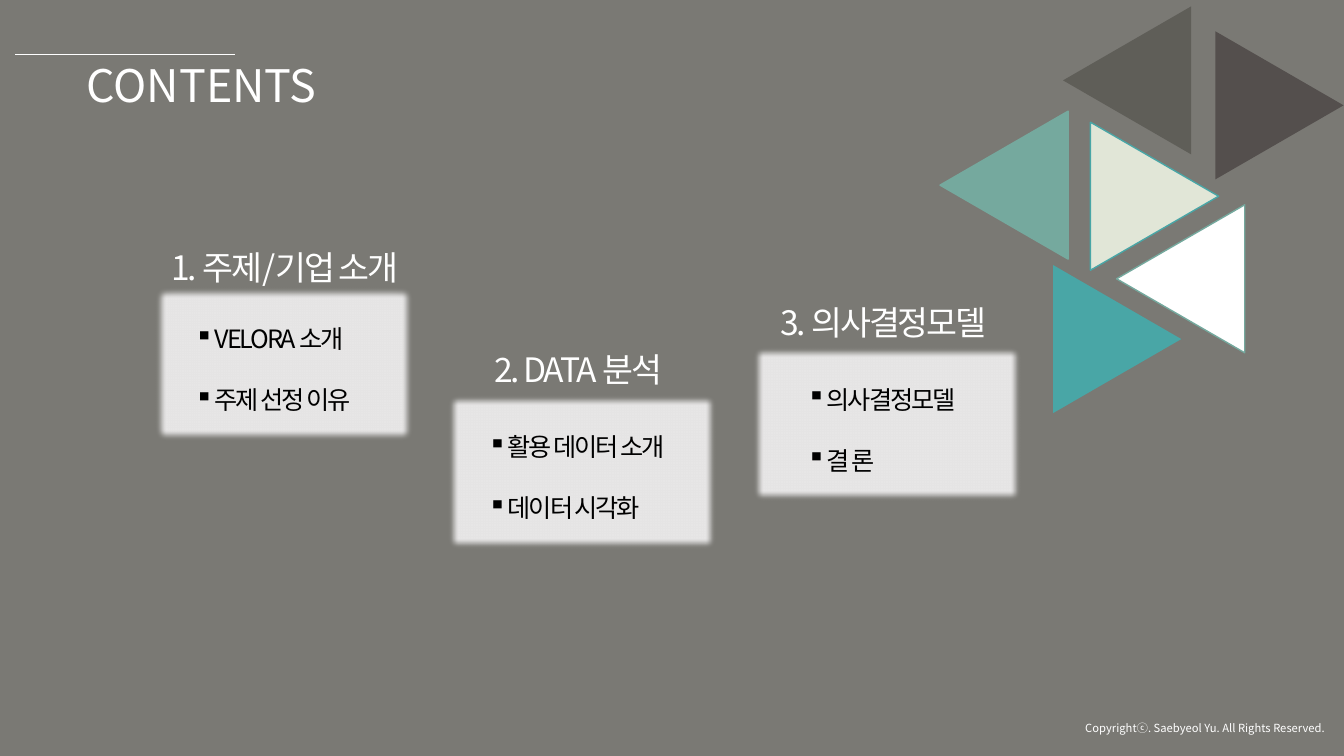
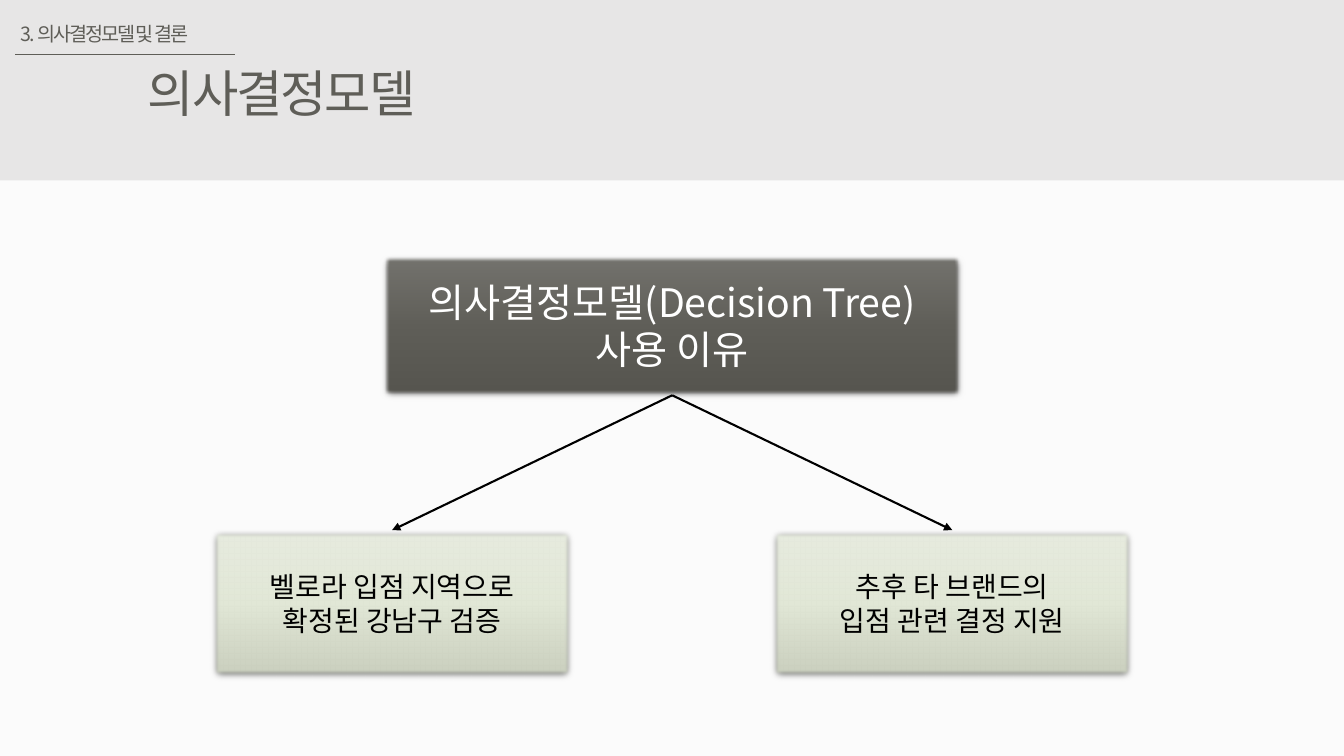
from dataclasses import dataclass

from lxml.etree import SubElement
from pptx import Presentation
from pptx.dml.color import RGBColor
from pptx.enum.shapes import MSO_CONNECTOR, MSO_SHAPE
from pptx.enum.text import MSO_ANCHOR, PP_ALIGN
from pptx.oxml.ns import qn
from pptx.util import Cm, Pt


@dataclass(frozen=True)
class Theme:
    font: str = "Noto Sans CJK KR"
    paper: str = "FBFBFB"
    light: str = "E7E6E6"
    stone: str = "5F5E58"
    umber: str = "544F4D"
    cream: str = "E1E6D7"
    teal: str = "49A6A6"
    sage: str = "75A99E"
    white: str = "FFFFFF"
    black: str = "000000"
    root_stops: tuple = ("74736E", "5F5E58", "55544E")
    branch_stops: tuple = ("E7EBDF", "E1E7D6", "C9CEBD")
    title: int = 36
    contents: int = 32
    root: int = 28
    heading: int = 24
    branch: int = 20
    item: int = 18
    section: int = 14
    footer: int = 8
    tight: int = -150


THEME = Theme()
SLIDE_W, SLIDE_H = Cm(33.87), Cm(19.05)


@dataclass(frozen=True)
class Box:
    left: int
    top: int
    width: int
    height: int

    @property
    def frame(self):
        return self.left, self.top, self.width, self.height


def box(left, top, width, height):
    return Box(Cm(left), Cm(top), Cm(width), Cm(height))


def rgb(value):
    return RGBColor.from_string(value)


def write(frame, lines, size, color, spacing=0, bullet=None, **paragraph_format):
    frame.word_wrap = True
    for index, line in enumerate(lines):
        paragraph = frame.paragraphs[0] if index == 0 else frame.add_paragraph()
        for name, value in paragraph_format.items():
            if index or name != "space_before":
                setattr(paragraph, name, value)
        if bullet:
            properties = paragraph._p.get_or_add_pPr()
            for name, value in {"marL": Cm(0.5), "indent": Cm(-0.5)}.items():
                properties.set(name, str(int(value)))
            SubElement(properties, qn("a:buChar")).set("char", bullet)
        run = paragraph.add_run()
        run.text = line
        for name, value in {"name": THEME.font, "size": Pt(size)}.items():
            setattr(run.font, name, value)
        run.font.color.rgb = rgb(color)
        run_properties = run._r.get_or_add_rPr()
        SubElement(run_properties, qn("a:ea")).set("typeface", THEME.font)
        if spacing:
            run_properties.set("spc", str(spacing))


def add_text(slide, area, lines, size, color, **formats):
    label = slide.shapes.add_textbox(*area.frame)
    write(label.text_frame, lines, size, color, **formats)


def add_block(shapes, kind, area, fill, outline=None):
    block = shapes.add_shape(kind, *area.frame)
    block.shadow.inherit = False
    block.fill.solid()
    block.fill.fore_color.rgb = rgb(fill)
    if outline:
        block.line.color.rgb = rgb(outline)
        block.line.width = Pt(1)
    else:
        block.line.fill.background()
    return block


def soften(block, radius, shadow=False):
    effects = block._element.spPr.find(qn("a:effectLst"))
    if shadow:
        outer = SubElement(effects, qn("a:outerShdw"))
        settings = {"blurRad": Pt(4.5), "dist": Pt(1.5), "dir": 5400000, "rotWithShape": 0}
        for name, value in settings.items():
            outer.set(name, str(int(value)))
        tint = SubElement(outer, qn("a:srgbClr"), val=THEME.black)
        SubElement(tint, qn("a:alpha"), val="63000")
    SubElement(effects, qn("a:softEdge"), rad=str(int(Pt(radius))))


def shade(block, colors):
    block.fill.gradient()
    block.fill.gradient_angle = 270
    stops = block._element.spPr.find(".//" + qn("a:gsLst"))
    for stop in list(stops):
        stops.remove(stop)
    for index, color in enumerate(colors):
        stop = SubElement(stops, qn("a:gs"), pos=str(index * 50000))
        SubElement(stop, qn("a:srgbClr"), val=color)


def add_line(slide, start, end, color, width):
    line = slide.shapes.add_connector(MSO_CONNECTOR.STRAIGHT, *start, *end)
    line.line.color.rgb = rgb(color)
    line.line.width = Pt(width)
    SubElement(line._element.spPr, qn("a:effectLst"))
    return line


def new_slide(deck, background, rule_color):
    slide = deck.slides.add_slide(deck.slide_layouts[6])
    slide.background.fill.solid()
    slide.background.fill.fore_color.rgb = rgb(background)
    if background == THEME.light:
        veil = add_block(slide.shapes, MSO_SHAPE.RECTANGLE, Box(0, 0, SLIDE_W, SLIDE_H), THEME.stone)
        tint = veil._element.spPr.find(".//" + qn("a:srgbClr"))
        SubElement(tint, qn("a:alpha"), val="80000")
    else:
        add_block(slide.shapes, MSO_SHAPE.RECTANGLE, Box(0, 0, SLIDE_W, Cm(4.55)), THEME.light)
    add_line(slide, (Cm(0.38), Cm(1.37)), (Cm(5.92), Cm(1.37)), rule_color, 0.5)
    return slide


def add_triangles(slide):
    cluster = slide.shapes.add_group_shape()
    for left, top, turn, fill, outline in (
        (30.38, 1.04, 90, THEME.umber, None),
        (26.54, 0.41, 270, THEME.stone, None),
        (27.23, 3.33, 90, THEME.cream, THEME.teal),
        (27.89, 5.41, 270, THEME.white, THEME.sage),
        (26.29, 6.93, 90, THEME.teal, None),
        (23.44, 3.05, 270, THEME.sage, THEME.sage),
    ):
        triangle = add_block(
            cluster.shapes, MSO_SHAPE.ISOSCELES_TRIANGLE, box(left, top, 3.73, 3.23), fill, outline
        )
        triangle.rotation = turn


def add_chapter(slide, area, heading, items, rise, inset):
    card = add_block(slide.shapes, MSO_SHAPE.RECTANGLE, area, THEME.light)
    soften(card, 5)
    add_text(
        slide, Box(area.left + inset, area.top + Cm(0.63), area.width - inset, Cm(2.72)),
        items, THEME.item, THEME.black, spacing=THEME.tight, bullet="▪",
        line_spacing=1.3, space_before=Pt(15.5),
    )
    add_text(
        slide, Box(area.left - Cm(0.38), area.top - rise, Cm(7.44), Cm(1.47)),
        [heading], THEME.heading, THEME.white, spacing=THEME.tight,
        line_spacing=1.3, alignment=PP_ALIGN.CENTER,
    )


def build_contents(deck):
    slide = new_slide(deck, THEME.light, THEME.white)
    add_text(slide, box(1.93, 1.32, 6.63, 1.63), ["CONTENTS"], THEME.contents, THEME.white)
    add_text(
        slide, box(26.2, 18.06, 7.45, 0.61), ["Copyrightⓒ. Saebyeol Yu. All Rights Reserved."],
        THEME.footer, THEME.white, alignment=PP_ALIGN.RIGHT,
    )
    add_triangles(slide)
    for area, heading, items, rise, inset in (
        (box(3.84, 7.16, 6.63, 4.01), "1. 주제/기업 소개", ("VELORA 소개", "주제 선정 이유"), 1.37, 0.82),
        (box(11.23, 9.88, 6.88, 4.01), "2. DATA 분석", ("활용 데이터 소개", "데이터 시각화"), 1.52, 0.82),
        (box(18.92, 8.69, 6.88, 4.01), "3. 의사결정모델", ("의사결정모델", "결 론"), 1.52, 1.17),
    ):
        add_chapter(slide, area, heading, items, Cm(rise), Cm(inset))


def add_node(slide, area, lines, stops, size, color):
    node = add_block(slide.shapes, MSO_SHAPE.RECTANGLE, area, stops[1])
    shade(node, stops)
    soften(node, 2.5, shadow=True)
    node.text_frame.vertical_anchor = MSO_ANCHOR.MIDDLE
    write(node.text_frame, lines, size, color, alignment=PP_ALIGN.CENTER)
    return node


def add_tree(slide, area, reasons):
    root_w, root_h = Cm(14.55), Cm(3.51)
    branch_w, branch_h = Cm(9.04), Cm(3.68)
    root = add_node(
        slide, Box(area.left + (area.width - root_w) // 2, area.top, root_w, root_h),
        ("의사결정모델(Decision Tree)", "사용 이유"), THEME.root_stops, THEME.root, THEME.white,
    )
    step = (area.width - branch_w) // (len(reasons) - 1)
    for index, reason in enumerate(reasons):
        branch_area = Box(
            area.left + index * step, area.top + area.height - branch_h, branch_w, branch_h
        )
        branch = add_node(slide, branch_area, reason, THEME.branch_stops, THEME.branch, THEME.black)
        arrow = add_line(slide, (0, 0), (0, 0), THEME.black, 1.5)
        arrow.begin_connect(root, 2)
        arrow.end_connect(branch, 0)
        SubElement(arrow.line._get_or_add_ln(), qn("a:tailEnd"), type="triangle")


def build_decision_model(deck):
    slide = new_slide(deck, THEME.paper, THEME.stone)
    add_text(
        slide, box(0.28, 0.43, 5.6, 0.86), ["3. 의사결정모델 및 결론"],
        THEME.section, THEME.stone, spacing=THEME.tight,
    )
    add_text(
        slide, box(3.15, 1.45, 7.9, 1.8), ["의사결정모델"], THEME.title, THEME.stone,
        spacing=THEME.tight, alignment=PP_ALIGN.CENTER,
    )
    add_tree(
        slide, box(5.36, 6.45, 23.16, 10.59),
        (("벨로라 입점 지역으로", "확정된 강남구 검증"), ("추후 타 브랜드의", "입점 관련 결정 지원")),
    )


def main():
    deck = Presentation()
    deck.slide_width, deck.slide_height = SLIDE_W, SLIDE_H
    build_contents(deck)
    build_decision_model(deck)
    deck.save("out.pptx")


if __name__ == "__main__":
    main()
